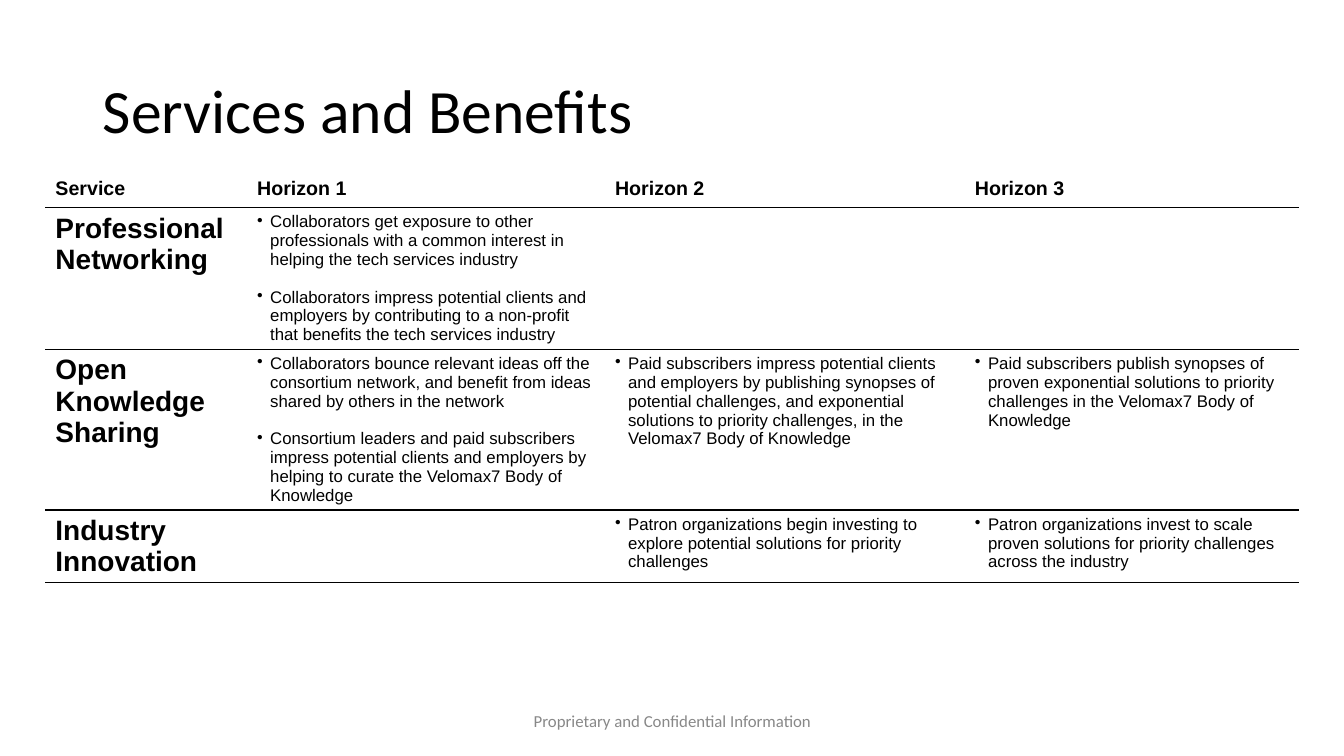
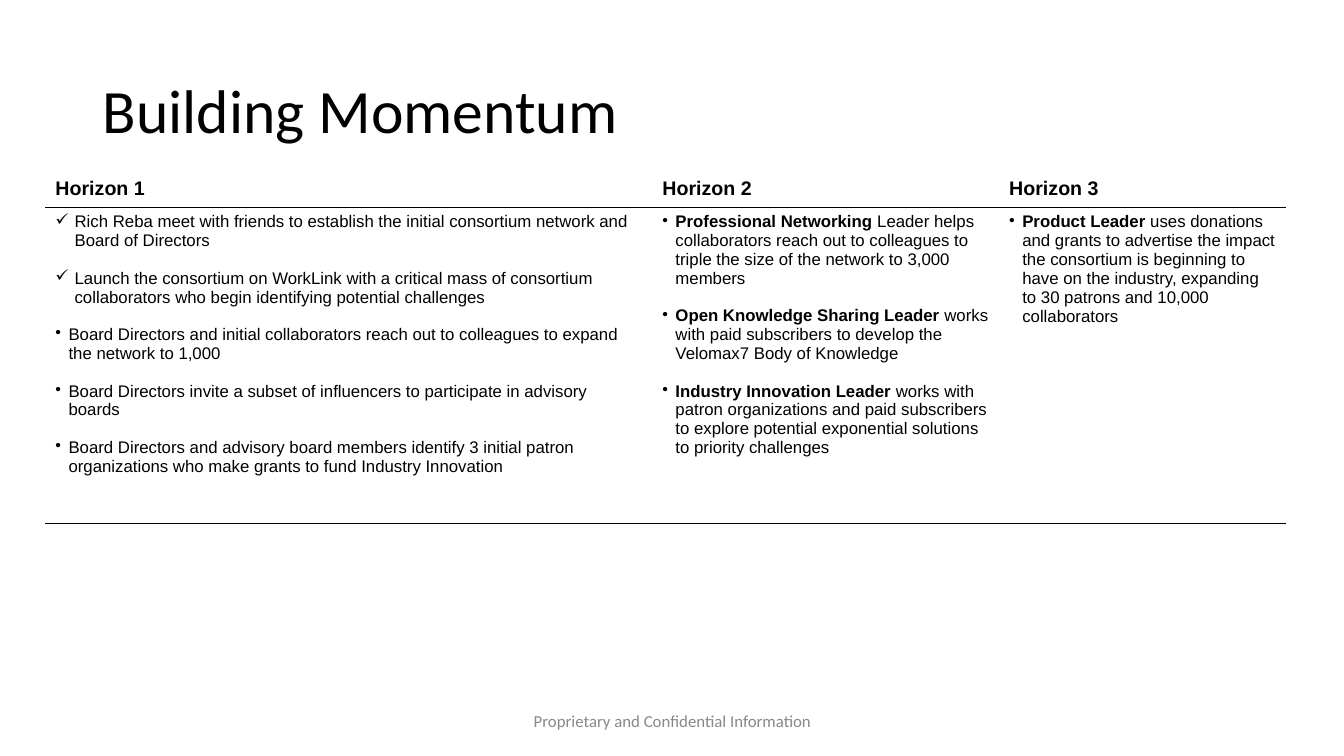
from lxml import etree
from pptx import Presentation
from pptx import util as u
from pptx.dml.color import RGBColor
from pptx.enum import text
from pptx.oxml import parse_xml
from pptx.oxml.ns import nsdecls

# Shared style
BLACK, GREY = "000000", "888888"
HEAD, BODY = "Calibri", "Arial"
NO_GRID = "{2D5ABB26-0587-4C30-8999-92F81FD0307C}"
INDENT = {"•": 0.13, "✓": 0.19}
GAP = 13.4  # one 12 pt line between bullets
LEFT, TOP, HEADER_H = 0.45, 1.71, 0.35


def add_run(p, words, size, font=BODY, color=BLACK, bold=False):
    r = p.add_run()
    r.text = words
    r.font.size, r.font.name, r.font.bold = u.Pt(size), font, bold
    r.font.color.rgb = RGBColor.from_string(color)


def add_rule(cell, side):
    cell._tc.get_or_add_tcPr().append(parse_xml(
        f'<a:{side} {nsdecls("a")} w="12700"><a:solidFill><a:srgbClr val="{BLACK}"/>'
        f'</a:solidFill><a:prstDash val="solid"/></a:{side}>'))


# Content: a cell is a list of paragraphs (bullet, bold words, plain words)
services = [
    [
        [("", "Professional Networking", "")],
        [("•", "", "Collaborators get exposure to other professionals with a common "
          "interest in helping the tech services industry"),
         ("•", "", "Collaborators impress potential clients and employers by contributing "
          "to a non-profit that benefits the tech services industry")],
        [],
        [],
    ],
    [
        [("", "Open Knowledge Sharing", "")],
        [("•", "", "Collaborators bounce relevant ideas off the consortium network, and "
          "benefit from ideas shared by others in the network"),
         ("•", "", "Consortium leaders and paid subscribers impress potential clients and "
          "employers by helping to curate the Velomax7 Body of Knowledge")],
        [("•", "", "Paid subscribers impress potential clients and employers by publishing "
          "synopses of potential challenges, and exponential solutions to priority "
          "challenges, in the Velomax7 Body of Knowledge")],
        [("•", "", "Paid subscribers publish synopses of proven exponential solutions to "
          "priority challenges in the Velomax7 Body of Knowledge")],
    ],
    [
        [("", "Industry", ""), ("", "Innovation", "")],
        [],
        [("•", "", "Patron organizations begin investing to explore potential solutions "
          "for priority challenges")],
        [("•", "", "Patron organizations invest to scale proven solutions for priority "
          "challenges across the industry")],
    ],
]
momentum = [
    [
        [("✓", "", "Rich Reba meet with friends to establish the initial consortium network "
          "and Board of Directors"),
         ("✓", "", "Launch the consortium on WorkLink with a critical mass of consortium "
          "collaborators who begin identifying potential challenges"),
         ("•", "", "Board Directors and initial collaborators reach out to colleagues to "
          "expand the network to 1,000"),
         ("•", "", "Board Directors invite a subset of influencers to participate in "
          "advisory boards"),
         ("•", "", "Board Directors and advisory board members identify 3 initial patron "
          "organizations who make grants to fund Industry Innovation")],
        [("•", "Professional Networking ", "Leader helps collaborators reach out to "
          "colleagues to triple the size of the network to 3,000 members"),
         ("•", "Open Knowledge Sharing Leader ", "works with paid subscribers to develop "
          "the Velomax7 Body of Knowledge"),
         ("•", "Industry Innovation Leader ", "works with patron organizations and paid "
          "subscribers to explore potential exponential solutions to priority challenges")],
        [("•", "Product Leader ", "uses donations and grants to advertise the impact the "
          "consortium is beginning to have on the industry, expanding to 30 patrons and "
          "10,000 collaborators")],
    ],
]
horizons = ["Horizon 1", "Horizon 2", "Horizon 3"]
slides = [
    ("Services and Benefits", ["Service"] + horizons, services,
     [2, 3.55, 3.57, 3.31], [1.4, 1.59, 0.72]),
    ("Building Momentum", horizons, momentum, [6.02, 3.44, 2.85], [3.13]),
]

prs = Presentation()
prs.slide_width, prs.slide_height = u.Inches(13.33), u.Inches(7.5)

for title, heads, body, widths, heights in slides:
    s = prs.slides.add_slide(prs.slide_layouts[5])

    # Title and footer
    footer = s.shapes.add_textbox(u.Inches(4.42), u.Inches(6.95), u.Inches(4.5), u.Inches(0.4))
    sp = s.shapes.title
    sp.left, sp.top, sp.width, sp.height = map(u.Inches, (0.92, 0.4, 9.79, 1.45))
    for box, words, size, color, align in (
            (sp, title, 44, BLACK, text.PP_ALIGN.LEFT),
            (footer, "Proprietary and Confidential Information", 12, GREY, text.PP_ALIGN.CENTER)):
        tf = box.text_frame
        tf.word_wrap, tf.auto_size = True, text.MSO_AUTO_SIZE.NONE
        tf.vertical_anchor = text.MSO_ANCHOR.MIDDLE
        p = tf.paragraphs[0]
        p.alignment = align
        add_run(p, words, size, HEAD, color)
    sp.text_frame.paragraphs[0].line_spacing = 0.9

    # Table grid
    rows = [[[("", head, "")] for head in heads]] + body
    row_heights = [HEADER_H] + heights
    frame = s.shapes.add_table(len(rows), len(widths), u.Inches(LEFT), u.Inches(TOP),
                               u.Inches(sum(widths)), u.Inches(sum(row_heights)))
    table = frame.table
    table.first_row = table.horz_banding = False
    table._tbl.tblPr[0].text = NO_GRID
    for column, width in zip(table.columns, widths):
        column.width = u.Inches(width)
    for row, height in zip(table.rows, row_heights):
        row.height = u.Inches(height)

    # Table cells
    for i, row in enumerate(rows):
        for j, paragraphs in enumerate(row):
            cell = table.cell(i, j)
            if i:
                add_rule(cell, "lnT")
            add_rule(cell, "lnB")
            cell.fill.background()
            for n, (bullet, strong, plain) in enumerate(paragraphs):
                tf = cell.text_frame
                p = tf.add_paragraph() if n else tf.paragraphs[0]
                size = 12 if bullet else 20 if i else 14
                if bullet:
                    pPr = p._p.get_or_add_pPr()
                    indent = u.Inches(INDENT[bullet])
                    pPr.set("marL", str(indent))
                    pPr.set("indent", str(-indent))
                    etree.SubElement(pPr, pPr.tag.replace("pPr", "buChar"), char=bullet)
                    if n:
                        p.space_before = u.Pt(GAP)
                if strong:
                    add_run(p, strong, size, bold=True)
                if plain:
                    add_run(p, plain, size)

prs.save("out.pptx")
